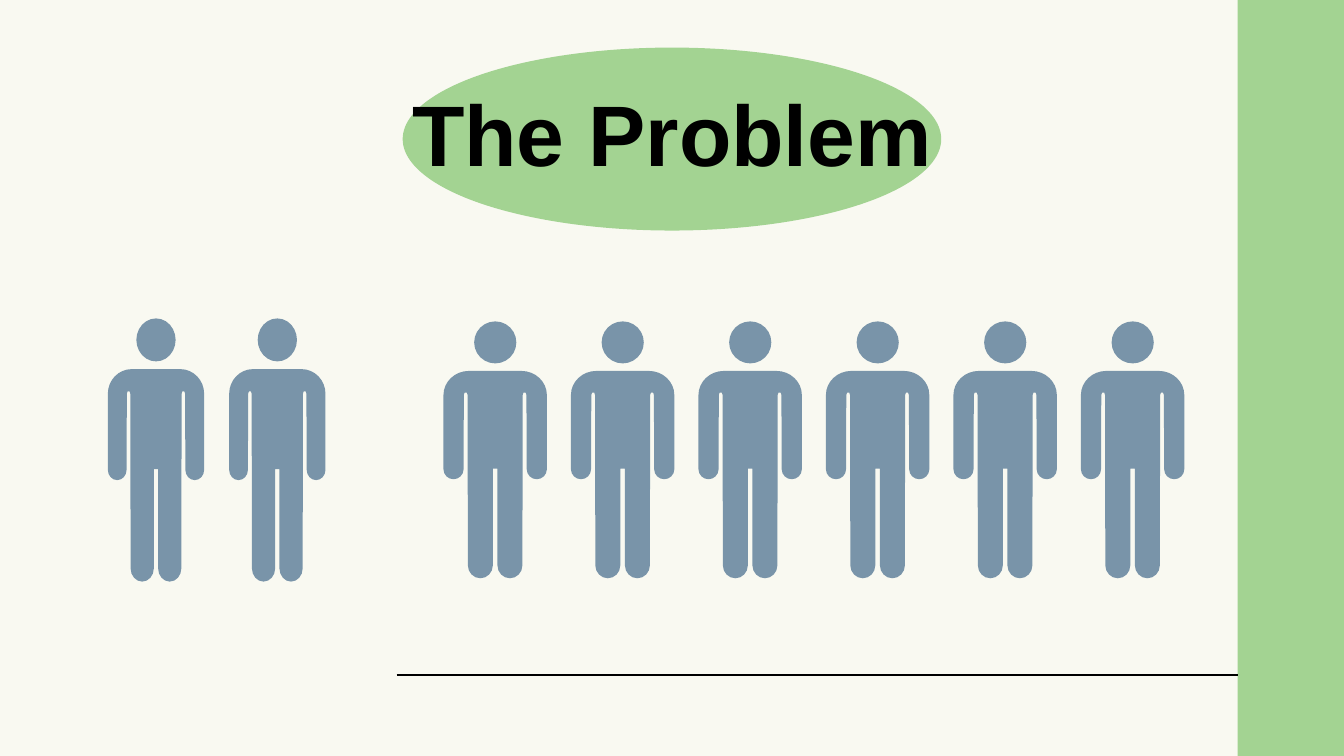
from lxml import etree
from pptx import Presentation
from pptx import util as u
from pptx.dml import color
from pptx.enum import shapes, text
from pptx.oxml import ns

Pt = u.Pt
COLORS = {"cream": "F9F9F1", "green": "A3D392", "slate": "7994A9", "ink": "000000"}
FIGURE_WIDTH, FIGURE_HEIGHT = 77, 192
HEAD_SIZE = 31.4
ROUNDING = 0.55
EDGE, CORNER = False, True
LEFT_HALF = [
    (19, 37, EDGE), (0, 37, CORNER), (0, 55, EDGE),
    (0, 110.5, EDGE), (0, 118, CORNER), (7.5, 118, EDGE),
    (15, 118, CORNER), (15, 110.5, EDGE),
    (15.2, 55, EDGE), (15.8, 53.2, EDGE), (17.4, 53.2, EDGE), (18, 55, EDGE),
    (18.2, 182.4, EDGE), (18.2, 192, CORNER), (27.5, 192, EDGE),
    (36.8, 192, CORNER), (36.8, 182.4, EDGE), (36.8, 110, EDGE),
]
BODY = LEFT_HALF + [(FIGURE_WIDTH - x, y, kind) for x, y, kind in reversed(LEFT_HALF)]


def rgb(name):
    return color.RGBColor.from_string(COLORS[name])


def paint(part, name):
    part.shadow.inherit = False
    part.fill.solid()
    part.fill.fore_color.rgb = rgb(name)
    part.line.fill.background()


def add_body(person, left, top, scale_x, scale_y):
    points, curve_starts = [], []
    for i, (x, y, kind) in enumerate(BODY):
        if kind == EDGE:
            points.append((x, y))
            continue
        curve_starts.append(len(points) - 1)
        for near_x, near_y, _ in (BODY[i - 1], BODY[i + 1]):
            points.append((near_x + ROUNDING * (x - near_x),
                           near_y + ROUNDING * (y - near_y)))

    placed = [(Pt(left + x * scale_x), Pt(top + y * scale_y)) for x, y in points]
    outline = person.shapes.build_freeform(*placed[0])
    outline.add_line_segments(placed[1:], close=True)
    body = outline.convert_to_shape()
    paint(body, "slate")

    segments = list(body.element.iter(ns.qn("a:lnTo")))
    for start in curve_starts:
        curve, *rest = segments[start:start + 3]
        curve.tag = ns.qn("a:cubicBezTo")
        for segment in rest:
            curve.append(segment[0])
            segment.getparent().remove(segment)


def add_person(slide, left, top, width, height):
    scale_x, scale_y = width / FIGURE_WIDTH, height / FIGURE_HEIGHT
    person = slide.shapes.add_group_shape()
    add_body(person, left, top, scale_x, scale_y)
    head_width = HEAD_SIZE * scale_x
    head = person.shapes.add_shape(
        shapes.MSO_SHAPE.OVAL, Pt(left + (width - head_width) / 2), Pt(top),
        Pt(head_width), Pt(HEAD_SIZE * scale_y))
    paint(head, "slate")


def add_people(slide, left, top, width, height, count, pitch):
    for i in range(count):
        add_person(slide, left + i * pitch, top, width, height)


def add_frame(slide, left, top, width, height):
    band_width = 57
    band_left = left + width - band_width
    band = slide.shapes.add_shape(
        shapes.MSO_SHAPE.RECTANGLE, Pt(band_left), Pt(top), Pt(band_width), Pt(height))
    paint(band, "green")

    rule_y = top + height - 43.5
    rule = slide.shapes.add_connector(
        shapes.MSO_CONNECTOR.STRAIGHT, Pt(left + 212.5), Pt(rule_y),
        Pt(band_left), Pt(rule_y))
    rule.line.color.rgb = rgb("ink")
    rule.line.width = Pt(1)
    etree.SubElement(rule.element.spPr, ns.qn("a:effectLst"))


def add_title(slide, left, top, width, height):
    badge_width, badge_height = 288.5, 98
    badge = slide.shapes.add_shape(
        shapes.MSO_SHAPE.OVAL, Pt(left + (width - badge_width) / 2),
        Pt(top + (height - badge_height) / 2), Pt(badge_width), Pt(badge_height))
    paint(badge, "green")

    title = slide.shapes.title
    title.left, title.top, title.width, title.height = map(Pt, (left, top, width, height))
    badge.element.addnext(title.element)
    frame = title.text_frame
    frame.auto_size = text.MSO_AUTO_SIZE.NONE
    frame.word_wrap = True
    frame.vertical_anchor = text.MSO_ANCHOR.MIDDLE
    frame.margin_left = frame.margin_right = Pt(7.2)
    frame.margin_top = frame.margin_bottom = Pt(3.6)
    heading = frame.paragraphs[0]
    heading.alignment = text.PP_ALIGN.CENTER
    heading.line_spacing = 0.9
    run = heading.add_run()
    run.text = "The Problem"
    run.font.name = "Arial"
    run.font.size = Pt(46)
    run.font.bold = True
    run.font.color.rgb = rgb("ink")


def main():
    deck = Presentation()
    deck.slide_width, deck.slide_height = Pt(720), Pt(405)
    slide = deck.slides.add_slide(deck.slide_layouts[5])
    slide.background.fill.solid()
    slide.background.fill.fore_color.rgb = rgb("cream")
    add_frame(slide, 0, 0, 720, 405)
    add_title(slide, 0, 29.5, 720, 90)
    add_people(slide, 57.8, 170.6, 51.6, 141, count=2, pitch=65)
    add_people(slide, 237.6, 172.2, 55.4, 137.6, count=6, pitch=68.3)
    deck.save("out.pptx")


if __name__ == "__main__":
    main()
